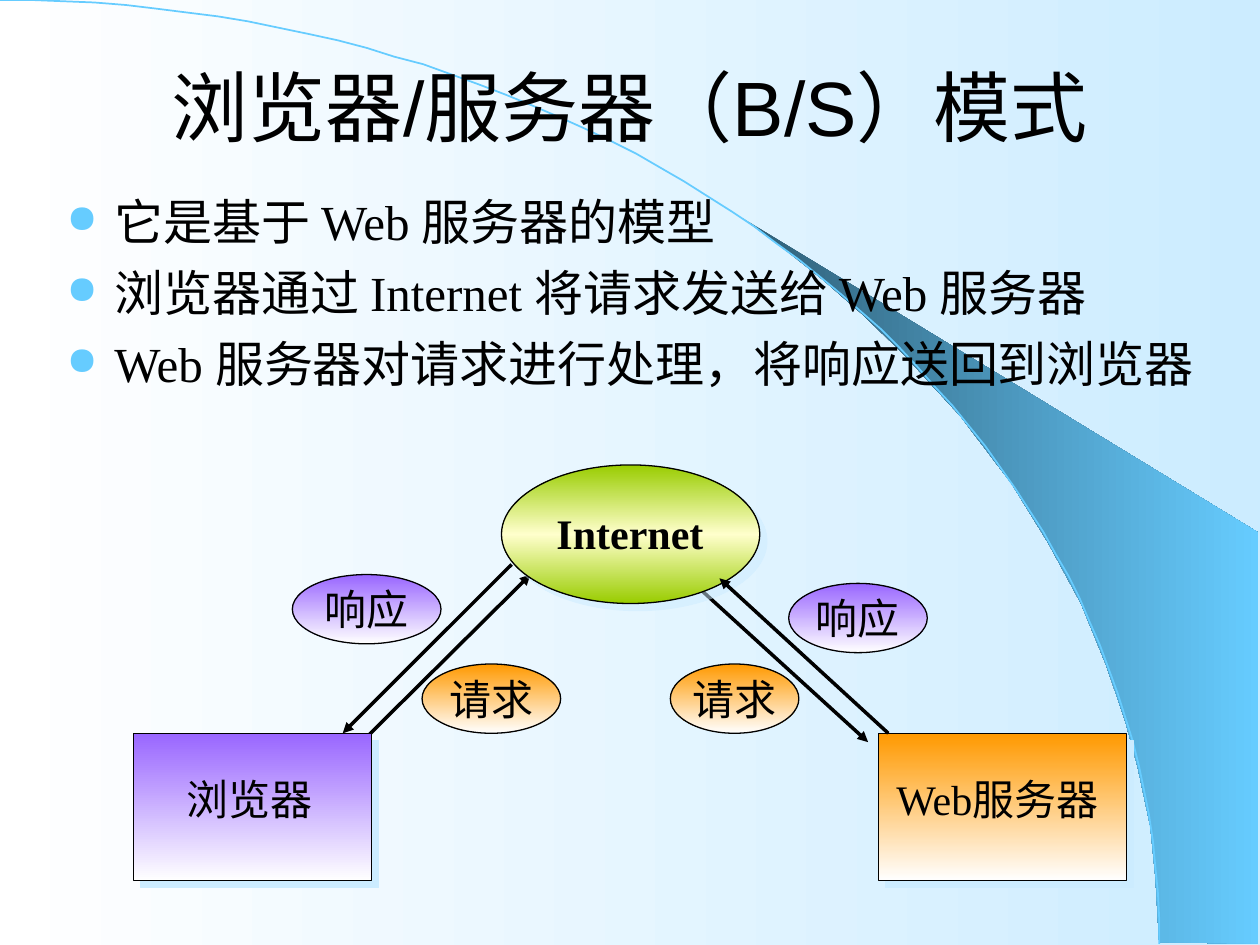
from copy import deepcopy
from dataclasses import dataclass

from lxml.etree import SubElement
from pptx import Presentation
from pptx.dml.color import RGBColor as Rgb
from pptx.enum.shapes import MSO_CONNECTOR as Link, MSO_SHAPE as Form
from pptx.enum.text import MSO_ANCHOR as Anchor, PP_ALIGN as Align
from pptx.oxml.ns import qn
from pptx.util import Pt

PX = 9144
SERIF = "Times New Roman"
HUES = {
    "black": "000000", "white": "FFFFFF", "pale": "CCECFF", "sky": "66CCFF",
    "deep": "2F5E76", "gold": "FF9900", "plum": "9966FF",
    "lime": "99CC00", "cream": "FFFFCC",
}
ORANGE = ("gold", "white")
PURPLE = ("plum", "white")
GREEN = ("lime", "cream", "lime")


@dataclass(frozen=True)
class Node:
    form: Form
    x: int
    y: int
    w: int
    h: int
    tones: tuple
    word: str = ""
    shade: int = 0


@dataclass(frozen=True)
class Label:
    x: int
    y: int
    w: int
    h: int
    word: str
    size: int = 24
    bold: bool = False
    font: str = SERIF
    anchor: Anchor = Anchor.TOP


@dataclass(frozen=True)
class Arrow:
    x: int
    y: int
    to_x: int
    to_y: int


ITEMS = (
    Label(75, 21, 850, 125, "浏览器/服务器（B/S）模式", 44, font="Arial", anchor=Anchor.MIDDLE),
    Node(Form.OVAL, 532, 527, 102, 55, ORANGE, "请求"),
    Node(Form.RECTANGLE, 697, 582, 197, 117, ORANGE, shade=100),
    Label(697, 609, 189, 90, "Web服务器"),
    Node(Form.OVAL, 626, 463, 110, 55, PURPLE, "响应"),
    Node(Form.OVAL, 232, 456, 118, 55, PURPLE, "响应"),
    Node(Form.OVAL, 335, 527, 110, 55, ORANGE, "请求"),
    Arrow(287, 589, 421, 456),
    Arrow(406, 448, 272, 582),
    Arrow(555, 467, 689, 589),
    Node(Form.OVAL, 398, 369, 205, 110, GREEN, shade=50),
    Label(421, 398, 158, 50, "Internet", bold=True),
    Arrow(705, 582, 571, 459),
    Node(Form.RECTANGLE, 106, 582, 189, 117, PURPLE, shade=100),
    Label(132, 609, 132, 50, "浏览器"),
)
POINTS = (
    "它是基于 Web 服务器的模型",
    "浏览器通过 Internet 将请求发送给 Web 服务器",
    "Web 服务器对请求进行处理，将响应送回到浏览器",
)
WEDGE = (
    (920, 748), (999, 749), (999, 423), (589, 173), (624, 199), (653, 222),
    (685, 250), (716, 280), (762, 330), (803, 384), (832, 431), (858, 479),
    (878, 528), (893, 572), (903, 609), (913, 656), (917, 696),
)


def hue(name: str) -> Rgb:
    return Rgb.from_string(HUES[name])


def blend(fill, root, tones: tuple, angle: int) -> None:
    fill.gradient()
    fill.gradient_angle = angle
    stops = root.find(".//" + qn("a:gsLst"))
    while len(stops) < len(tones):
        stops.append(deepcopy(stops[0]))
    for i, (stop, tone) in enumerate(zip(fill.gradient_stops, tones)):
        stop.color.rgb = hue(tone)
        stop.position = i / (len(tones) - 1)


def stroke(line, tone: str, width: float) -> None:
    line.color.rgb = hue(tone)
    line.width = Pt(width)


def write(para, word: str, size: int, font: str = SERIF, bold: bool = False) -> None:
    run = para.add_run()
    run.text = word
    run.font.size = Pt(size)
    run.font.name = font
    run.font.bold = bold
    run.font.color.rgb = hue("black")


def frame(slide, x: int, y: int, w: int, h: int):
    text = slide.shapes.add_textbox(x * PX, y * PX, w * PX, h * PX).text_frame
    text.word_wrap = True
    return text


def cast(shape, alpha: int) -> None:
    glow = shape._element.spPr.find(qn("a:effectLst"))
    shadow = SubElement(glow, qn("a:outerShdw"), dist=str(Pt(5.7)), dir="2700000",
                        algn="ctr", rotWithShape="0")
    tint = SubElement(shadow, qn("a:srgbClr"), val=HUES["pale"])
    SubElement(tint, qn("a:alpha"), val=str(alpha * 1000))


def draw_node(slide, node: Node) -> None:
    shape = slide.shapes.add_shape(node.form, node.x * PX, node.y * PX, node.w * PX, node.h * PX)
    shape.shadow.inherit = False
    blend(shape.fill, shape._element.spPr, node.tones, 270)
    stroke(shape.line, "black", 0.75)
    if node.shade:
        cast(shape, node.shade)
    if node.word:
        text = shape.text_frame
        text.word_wrap = False
        text.vertical_anchor = Anchor.MIDDLE
        text.paragraphs[0].alignment = Align.CENTER
        write(text.paragraphs[0], node.word, 24)


def draw_label(slide, label: Label) -> None:
    text = frame(slide, label.x, label.y, label.w, label.h)
    text.vertical_anchor = label.anchor
    text.paragraphs[0].alignment = Align.CENTER
    write(text.paragraphs[0], label.word, label.size, label.font, label.bold)


def draw_arrow(slide, arrow: Arrow) -> None:
    line = slide.shapes.add_connector(
        Link.STRAIGHT, arrow.x * PX, arrow.y * PX, arrow.to_x * PX, arrow.to_y * PX)
    stroke(line.line, "black", 2)
    SubElement(line.line._get_or_add_ln(), qn("a:tailEnd"), type="triangle")
    SubElement(line._element.spPr, qn("a:effectLst"))


def draw_points(slide) -> None:
    text = frame(slide, 43, 147, 941, 495)
    for i, point in enumerate(POINTS):
        para = text.add_paragraph() if i else text.paragraphs[0]
        props = para._p.get_or_add_pPr()
        props.set("marL", str(38 * PX))
        props.set("indent", str(-38 * PX))
        SubElement(SubElement(props, qn("a:buClr")), qn("a:srgbClr"), val=HUES["sky"])
        SubElement(props, qn("a:buSzPct"), val="80000")
        SubElement(props, qn("a:buChar"), char="●")
        if i:
            para.space_before = Pt(7)
        write(para, point, 28)


def outline(slide, points, close: bool):
    pen = slide.shapes.build_freeform(*points[0], scale=PX)
    pen.add_line_segments(points[1:], close=close)
    shape = pen.convert_to_shape()
    shape.shadow.inherit = False
    return shape


def arc(steps: int) -> list:
    spots = []
    for i in range(steps + 1):
        t = i / steps
        u = 1 - t
        spots.append((3 * u * u * t * 508 + (3 * u * t * t + t ** 3) * 920,
                      3 * u * t * t * 335 + t ** 3 * 749))
    return spots


def draw_back(slide) -> None:
    blend(slide.background.fill, slide._element, ("white", "pale"), 0)
    wedge = outline(slide, WEDGE, True)
    blend(wedge.fill, wedge._element.spPr, ("deep", "sky"), 0)
    wedge.line.fill.background()
    curve = outline(slide, arc(60), False)
    curve.fill.background()
    stroke(curve.line, "sky", 1)


def main() -> None:
    deck = Presentation()
    deck.slide_width, deck.slide_height = 1000 * PX, 750 * PX
    slide = deck.slides.add_slide(deck.slide_layouts[6])
    draw_back(slide)
    draw_points(slide)
    tools = {Node: draw_node, Label: draw_label, Arrow: draw_arrow}
    for item in ITEMS:
        tools[type(item)](slide, item)
    deck.save("out.pptx")


if __name__ == "__main__":
    main()
